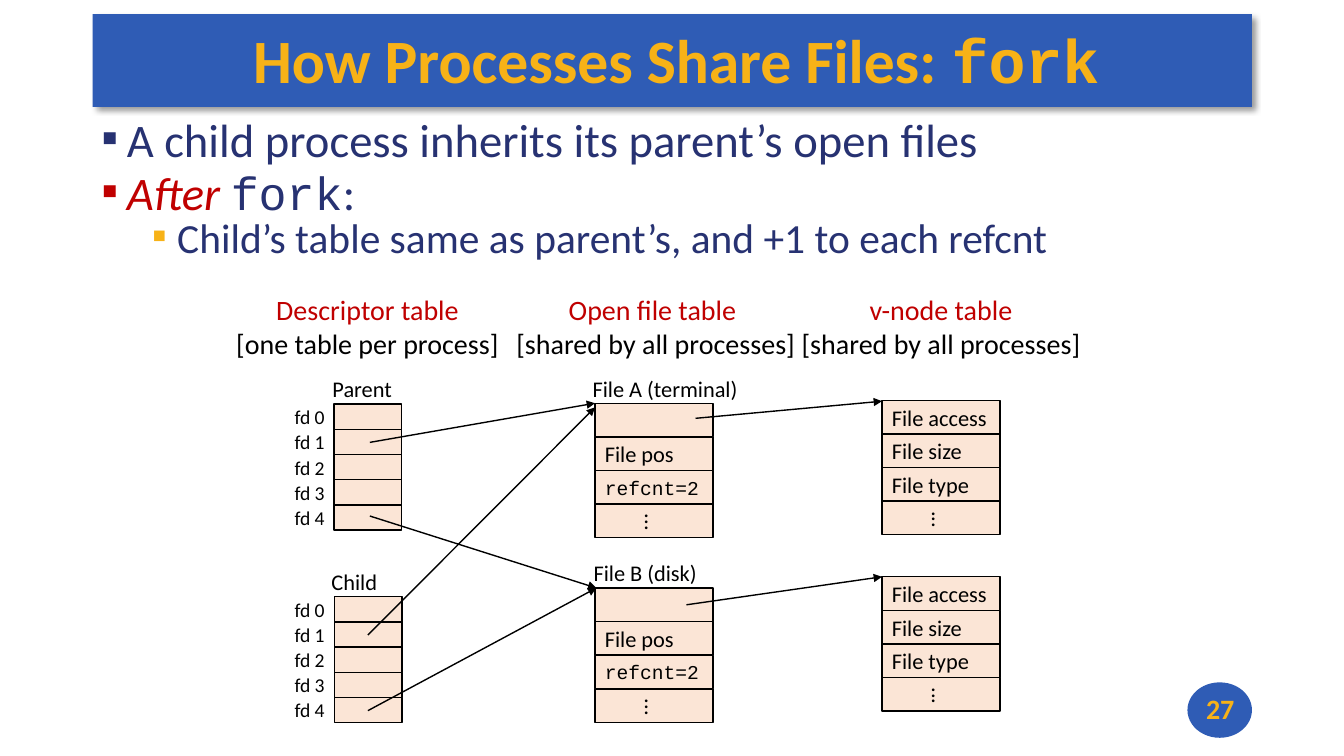
from lxml.etree import SubElement
from pptx import Presentation
from pptx.dml.color import RGBColor
from pptx.enum.shapes import MSO_CONNECTOR, MSO_SHAPE
from pptx.enum.text import MSO_ANCHOR, MSO_AUTO_SIZE, PP_ALIGN
from pptx.oxml import parse_xml
from pptx.oxml.ns import nsdecls, qn
from pptx.util import Pt

BLUE = RGBColor(0x2F, 0x5C, 0xB5)
GOLD = RGBColor(0xF7, 0xB2, 0x17)
NAVY = RGBColor(0x27, 0x32, 0x72)
RED = RGBColor(0xC0, 0x00, 0x00)
PEACH = RGBColor(0xFB, 0xE5, 0xD6)
BLACK = RGBColor(0x00, 0x00, 0x00)
SANS, MONO = "Calibri", "Courier New"
FD_STEP, CELL_STEP = 18, 24
FD_WIDTH, CELL_WIDTH = 48.3, 84.3


def add_run(paragraph, text, size=16, color=BLACK, font=SANS, bold=False, italic=False):
    """Append one formatted run of text to a paragraph."""
    run = paragraph.add_run()
    run.text = text
    run.font.name, run.font.size = font, Pt(size)
    run.font.bold, run.font.italic = bold, italic
    run.font.color.rgb = color


def add_label(slide, text, box, align=PP_ALIGN.LEFT, wrap=False, grow=False, **style):
    """Add a vertically centred one-line text box and return its frame."""
    frame = slide.shapes.add_textbox(*map(Pt, box)).text_frame
    frame.word_wrap = wrap
    frame.vertical_anchor = MSO_ANCHOR.MIDDLE
    frame.auto_size = MSO_AUTO_SIZE.SHAPE_TO_FIT_TEXT if grow else MSO_AUTO_SIZE.NONE
    frame.paragraphs[0].alignment = align
    add_run(frame.paragraphs[0], text, **style)
    return frame


def add_filled(slide, kind, box, fill, line=None):
    """Add a flat preset shape with an optional outline."""
    shape = slide.shapes.add_shape(kind, *map(Pt, box))
    shape.shadow.inherit = False
    shape.fill.solid()
    shape.fill.fore_color.rgb = fill
    if line is None:
        shape.line.fill.background()
    else:
        shape.line.color.rgb, shape.line.width = line, Pt(1)
    return shape


def add_banner(slide):
    """Add the shadowed title banner."""
    banner = add_filled(slide, MSO_SHAPE.RECTANGLE, (66.24, 10.08, 828, 66.24), BLUE)
    effects = banner._element.spPr.find(qn("a:effectLst"))
    effects.append(parse_xml(
        f'<a:outerShdw {nsdecls("a")} blurRad="{Pt(4)}" dist="{Pt(3)}" dir="2700000"'
        ' algn="tl" rotWithShape="0"><a:srgbClr val="000000"><a:alpha val="40000"/>'
        '</a:srgbClr></a:outerShdw>'))
    title = add_label(slide, "How Processes Share Files: ", (65.5, 8.64, 829.4, 66.24),
                      PP_ALIGN.CENTER, wrap=True, size=44, color=GOLD, bold=True)
    title.margin_left, title.margin_right = Pt(5.76), Pt(0)
    title.margin_top = title.margin_bottom = Pt(2.16)
    add_run(title.paragraphs[0], "fork", size=44, color=GOLD, font=MONO, bold=True)


def add_bullet(paragraph, runs, color, indent=18, before=0, **style):
    """Fill a paragraph with a square bullet and its runs."""
    props = paragraph._p.get_or_add_pPr()
    props.set("marL", str(Pt(indent)))
    props.set("indent", str(-Pt(18)))
    SubElement(SubElement(props, qn("a:buClr")), qn("a:srgbClr")).set("val", str(color))
    SubElement(props, qn("a:buFont")).set("typeface", SANS)
    SubElement(props, qn("a:buChar")).set("char", "▪")
    paragraph.line_spacing, paragraph.space_before = 0.7, Pt(before)
    for text, changes in runs:
        add_run(paragraph, text, **{"color": NAVY, **style, **changes})


def add_outline(slide):
    """Add the bulleted statements under the title."""
    frame = slide.shapes.add_textbox(*map(Pt, (65.5, 86.4, 829.4, 108.7))).text_frame
    frame.word_wrap = True
    add_bullet(frame.paragraphs[0],
               [("A child process inherits its parent’s open files", {})], NAVY, size=33.3)
    add_bullet(frame.add_paragraph(),
               [("After ", {"color": RED, "italic": True}), ("fork", {"font": MONO}), (":", {})],
               RED, before=10, size=33.3)
    add_bullet(frame.add_paragraph(),
               [("Child’s table same as parent’s, and +1 to each refcnt", {})],
               GOLD, indent=54, before=5, size=29.6)


def add_heading(slide, name, scope, left, width):
    """Add a column heading with its scope below."""
    frame = add_label(slide, name, (left, 205.2, width, 55.4), PP_ALIGN.CENTER,
                      grow=True, size=20, color=RED)
    scope_line = frame.add_paragraph()
    scope_line.alignment = PP_ALIGN.CENTER
    add_run(scope_line, scope, size=20)


def add_cell(slide, text, box):
    """Add one table cell, with an ellipsis set vertically."""
    cell = add_filled(slide, MSO_SHAPE.RECTANGLE, box, PEACH, BLACK)
    if not text:
        return
    frame = cell.text_frame
    frame.word_wrap = False
    frame.vertical_anchor = MSO_ANCHOR.MIDDLE
    frame.paragraphs[0].alignment = PP_ALIGN.LEFT
    if text == "...":
        frame._txBody.bodyPr.set("vert", "eaVert")
    code = text.startswith("refcnt")
    add_run(frame.paragraphs[0], text, size=14 if code else 16, font=MONO if code else SANS)


def add_record(slide, fields, left, top):
    """Stack the fields of one file or v-node entry."""
    for row, field in enumerate(fields):
        add_cell(slide, field, (left, top + row * CELL_STEP, CELL_WIDTH, CELL_STEP))


def add_descriptors(slide, left, top):
    """Stack five descriptor cells with their fd labels."""
    for fd in range(5):
        y = top + fd * FD_STEP
        add_cell(slide, "", (left, y, FD_WIDTH, FD_STEP))
        add_label(slide, f"fd {fd}", (190.8, y, FD_WIDTH, FD_STEP), PP_ALIGN.RIGHT, size=14)


def add_arrow(slide, start, end):
    """Draw a black pointer with a triangular head."""
    arrow = slide.shapes.add_connector(MSO_CONNECTOR.STRAIGHT, *map(Pt, start + end))
    arrow.line.color.rgb, arrow.line.width = BLACK, Pt(1)
    SubElement(arrow.line._get_or_add_ln(), qn("a:tailEnd")).set("type", "triangle")
    SubElement(arrow._element.spPr, qn("a:effectLst"))


def main():
    """Build and save the slide."""
    deck = Presentation()
    deck.slide_width, deck.slide_height = Pt(960), Pt(540)
    slide = deck.slides.add_slide(deck.slide_layouts[6])
    add_banner(slide)
    add_outline(slide)

    for heading in (("Descriptor table", "[one table per process]", 160.6, 203.8),
                    ("Open file table ", "[shared by all processes]", 360.7, 215.3),
                    ("v-node table", "[shared by all processes]", 564.5, 215.3)):
        add_heading(slide, *heading)

    for left, top in ((238.5, 288.7), (238.9, 426.2)):
        add_descriptors(slide, left, top)
    for top in (288, 420):
        add_record(slide, ("", "File pos", "refcnt=2", "..."), 425, top)
    for top in (286, 412):
        add_record(slide, ("File access", "File size", "File type", "..."), 630, top)

    for caption, box in (("Parent", (230.4, 264.2, 58.3, 26.6)),
                         ("Child", (229.7, 401.8, 48.2, 26.6)),
                         ("File A (terminal)", (416.2, 264.2, 121.7, 26.6)),
                         ("File B (disk)", (416.9, 396, 91.4, 26.6))):
        add_label(slide, caption, box, grow=True)

    for start, end in (((264.2, 316), (425, 288)), ((264.2, 368.6), (426, 420)),
                       ((262.8, 453.6), (425, 291)), ((262.8, 507.6), (426, 420)),
                       ((496.8, 298.8), (630, 286.6)), ((490.3, 432), (630, 412))):
        add_arrow(slide, start, end)

    add_filled(slide, MSO_SHAPE.OVAL, (848.2, 487.4, 46.1, 39.6), BLUE)
    add_label(slide, "27", (848.2, 487.4, 46.8, 37.4), PP_ALIGN.CENTER, wrap=True,
              size=20, color=GOLD, bold=True)
    deck.save("out.pptx")


if __name__ == "__main__":
    main()
